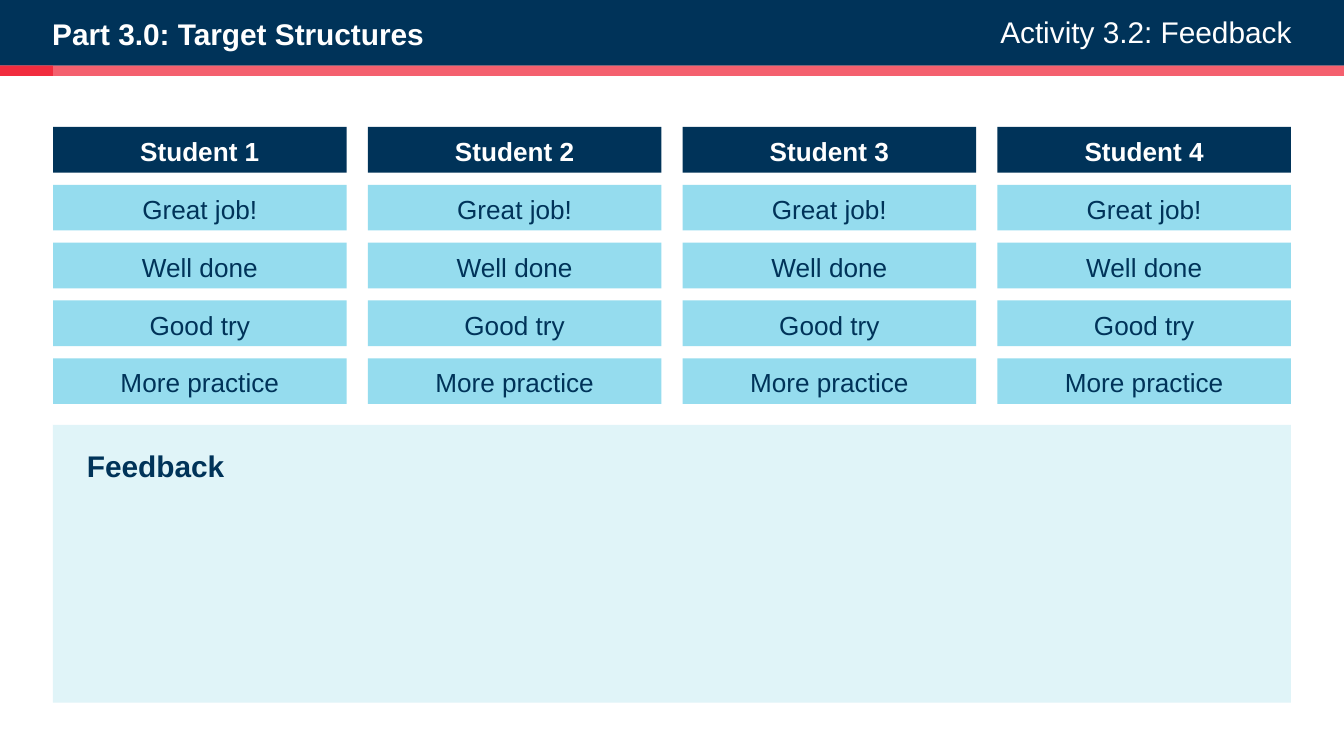
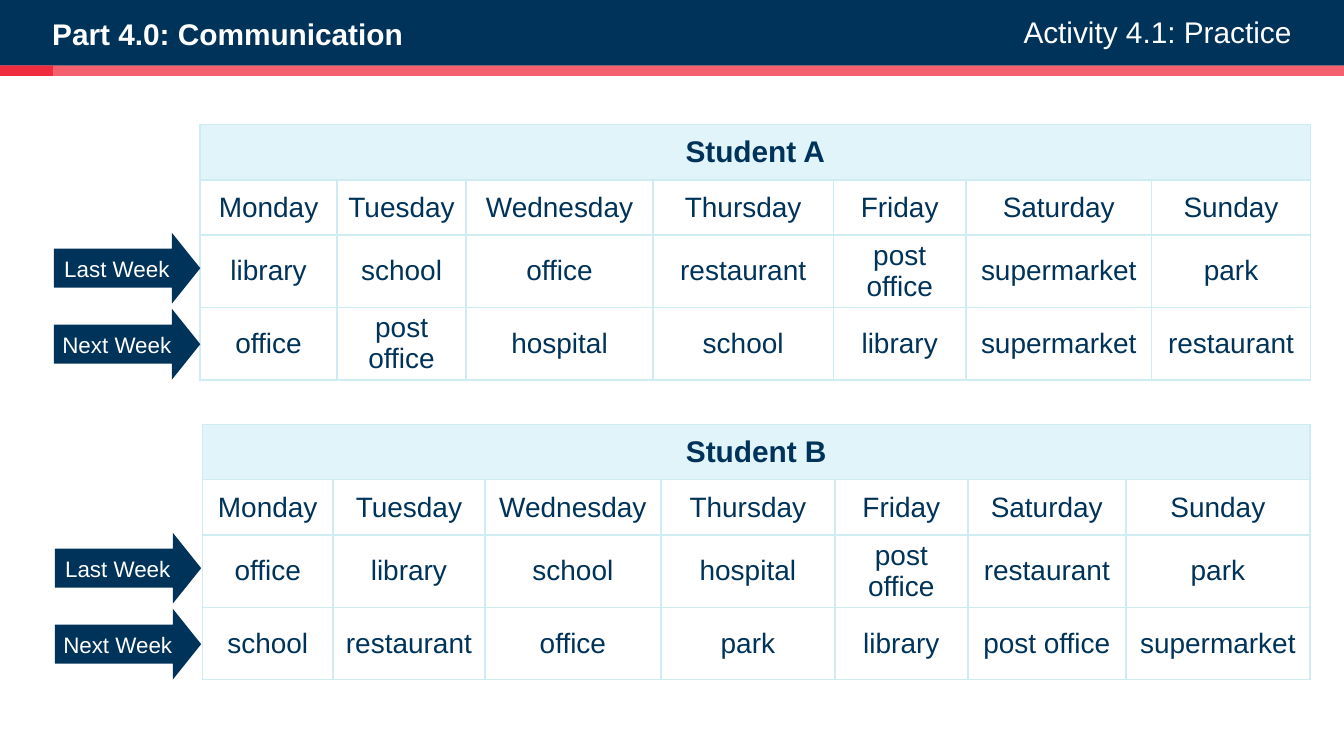
import pptx
import pptx.dml.color
import pptx.enum.shapes
import pptx.enum.text
import pptx.oxml
import pptx.oxml.ns
import pptx.util

Pt = pptx.util.Pt
ALIGN = pptx.enum.text.PP_ALIGN
ANCHOR = pptx.enum.text.MSO_ANCHOR
SHAPE = pptx.enum.shapes.MSO_SHAPE

COLORS = {
    "navy": "003359",
    "sky": "95DCEE",
    "panel": "E0F4F8",
    "table_title": "E1F4F9",
    "border": "D0ECF3",
    "red": "F12C3E",
    "white": "FFFFFF",
}
MARGIN = 28.4
CONTENT_WIDTH = 663.2
HEADER_HEIGHT = 35.2
STRIPE_HEIGHT = 5.5


def write_text(holder, text, color, size, bold=False, align=ALIGN.CENTER,
               anchor=ANCHOR.MIDDLE, insets=(0, 0, 0, 0)):
    layout = dict(zip(("margin_left", "margin_top", "margin_right", "margin_bottom"), map(Pt, insets)))
    layout["vertical_anchor"] = anchor
    layout["word_wrap"] = True
    for name, value in layout.items():
        if hasattr(holder, name):
            setattr(holder, name, value)
    frame = getattr(holder, "text_frame", holder)
    paragraph = frame.paragraphs[0]
    paragraph.alignment = align
    run = paragraph.add_run()
    run.text = text
    for name, value in {"name": "Arial", "size": Pt(size), "bold": bold}.items():
        setattr(run.font, name, value)
    run.font.color.rgb = pptx.dml.color.RGBColor.from_string(COLORS[color])


def add_block(slide, place, color, kind=SHAPE.RECTANGLE):
    shape = slide.shapes.add_shape(kind, *map(Pt, place))
    shape.shadow.inherit = False
    shape.fill.solid()
    shape.fill.fore_color.rgb = pptx.dml.color.RGBColor.from_string(COLORS[color])
    shape.line.fill.background()
    return shape


presentation = pptx.Presentation()
presentation.slide_width = Pt(720)
presentation.slide_height = Pt(405)

headers = [
    ("Part 3.0: Target Structures", "Activity 3.2: Feedback"),
    ("Part 4.0: Communication", "Activity 4.1: Practice"),
]
slides = []
for part, activity in headers:
    slide = presentation.slides.add_slide(presentation.slide_layouts[6])
    slides.append(slide)
    add_block(slide, (0, 0, 720, HEADER_HEIGHT), "navy")
    stripe = add_block(slide, (0, HEADER_HEIGHT, 720, STRIPE_HEIGHT), "red")
    stripe_color = stripe.fill._xPr.find(".//" + pptx.oxml.ns.qn("a:srgbClr"))
    stripe_color.append(pptx.oxml.parse_xml(
        f'<a:alpha {pptx.oxml.ns.nsdecls("a")} val="75000"/>'))
    add_block(slide, (0, HEADER_HEIGHT, MARGIN, STRIPE_HEIGHT), "red")
    title = slide.shapes.add_textbox(Pt(28), Pt(8.2), Pt(407), Pt(19.4))
    write_text(title.text_frame, part, "white", 16, True, ALIGN.LEFT, ANCHOR.TOP)
    label = slide.shapes.add_textbox(Pt(437), Pt(7.2), Pt(255), Pt(20.2))
    write_text(label.text_frame, activity, "white", 16, False, ALIGN.RIGHT, ANCHOR.TOP)

feedback_slide, practice_slide = slides

ratings = ["Great job!", "Well done", "Good try", "More practice"]
card_width, card_height = 157.3, 24.5
column_pitch = (CONTENT_WIDTH - card_width) / 3
for column in range(4):
    for row, text in enumerate([f"Student {column + 1}"] + ratings):
        heading = row == 0
        place = (MARGIN + column * column_pitch, 68 + row * 31, card_width, card_height)
        card = add_block(feedback_slide, place, "navy" if heading else "sky")
        write_text(card.text_frame, text, "white" if heading else "navy", 14, heading,
                   insets=(4.5, 1.4, 4.5, 0))

panel = add_block(feedback_slide, (MARGIN, 227.6, CONTENT_WIDTH, 148.8), "panel")
write_text(panel.text_frame, "Feedback", "navy", 16, True, ALIGN.LEFT, ANCHOR.TOP, (18.2, 12.4, 0, 0))

days = ["Monday", "Tuesday", "Wednesday", "Thursday", "Friday", "Saturday", "Sunday"]
row_heights = [29.6, 29.6, 38.8, 38.8]
schedules = [
    {
        "title": "Student A", "left": 107.2, "top": 66.7, "arrow_left": 28.9,
        "widths": [73.4, 69.1, 100.2, 96.6, 71.1, 99.4, 85.2],
        "weeks": [
            ["library", "school", "office", "restaurant", "post office", "supermarket", "park"],
            ["office", "post office", "hospital", "school", "library", "supermarket", "restaurant"],
        ],
    },
    {
        "title": "Student B", "left": 108.5, "top": 227.4, "arrow_left": 29.4,
        "widths": [69.9, 81.4, 94.3, 93.2, 71.3, 84.6, 98.7],
        "weeks": [
            ["office", "library", "school", "hospital", "post office", "restaurant", "park"],
            ["school", "restaurant", "office", "park", "library", "post office", "supermarket"],
        ],
    },
]
for schedule in schedules:
    rows = [[schedule["title"]] + [""] * 6, days] + schedule["weeks"]
    table = practice_slide.shapes.add_table(
        len(rows), len(days), Pt(schedule["left"]), Pt(schedule["top"]),
        Pt(sum(schedule["widths"])), Pt(sum(row_heights))).table
    table.first_row = False
    table.horz_banding = False
    for column, width in zip(table.columns, schedule["widths"]):
        column.width = Pt(width)
    for row, height in zip(table.rows, row_heights):
        row.height = Pt(height)
    table.cell(0, 0).merge(table.cell(0, len(days) - 1))
    for row_index, texts in enumerate(rows):
        heading = row_index == 0
        for column_index, text in enumerate(texts):
            cell = table.cell(row_index, column_index)
            properties = cell._tc.get_or_add_tcPr()
            for side in ("lnL", "lnR", "lnT", "lnB"):
                properties.append(pptx.oxml.parse_xml(
                    f'<a:{side} {pptx.oxml.ns.nsdecls("a")} w="12700"><a:solidFill>'
                    f'<a:srgbClr val="{COLORS["border"]}"/></a:solidFill></a:{side}>'))
            cell.fill.solid()
            fill_name = "table_title" if heading else "white"
            cell.fill.fore_color.rgb = pptx.dml.color.RGBColor.from_string(COLORS[fill_name])
            if text:
                write_text(cell, text, "navy", 16 if heading else 15, heading, insets=(5, 0, 5, 0))
    for index, week in enumerate(["Last Week", "Next Week"]):
        place = (schedule["arrow_left"], schedule["top"] + 58 + index * 40.7, 78.4, 38)
        arrow = add_block(practice_slide, place, "navy", SHAPE.RIGHT_ARROW)
        arrow.adjustments[0] = 0.55
        arrow.adjustments[1] = 0.4
        write_text(arrow.text_frame, week, "white", 12, insets=(0, 0, 2.5, 0))

presentation.save("out.pptx")
